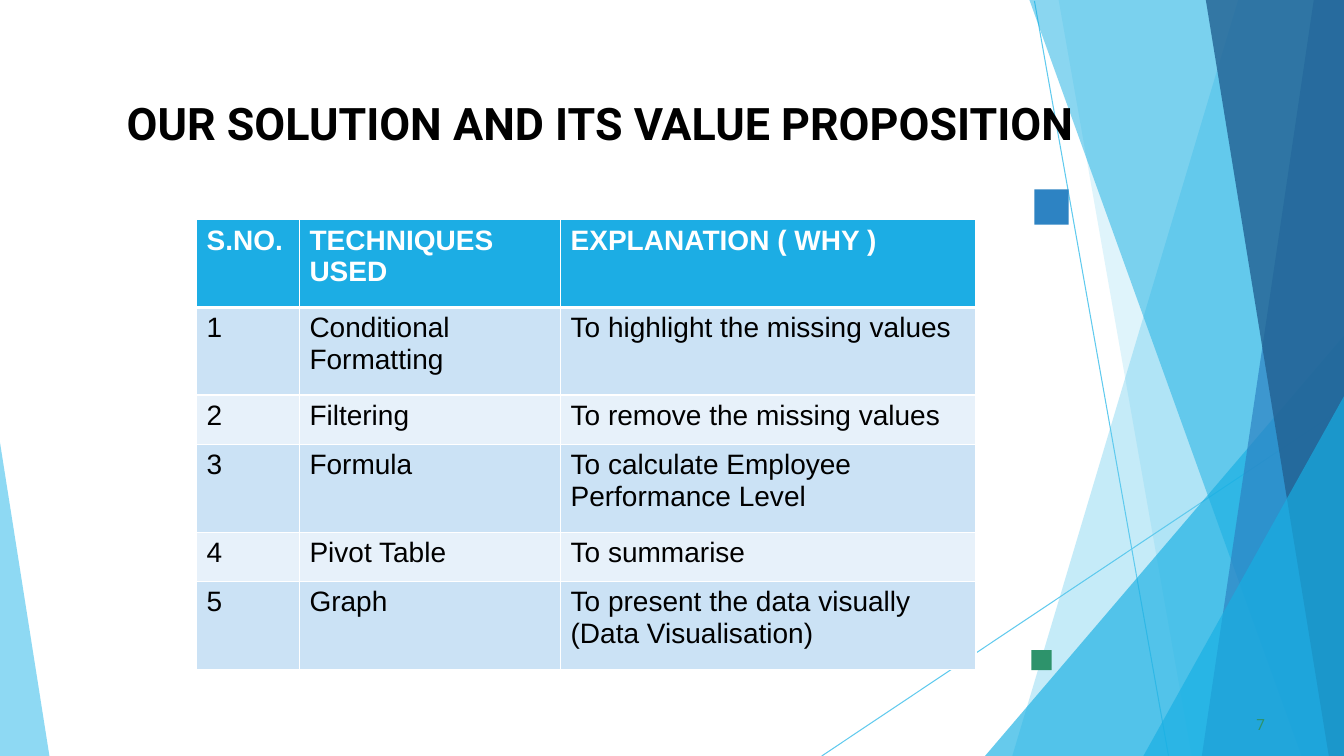
from lxml import etree
from pptx import Presentation
from pptx.dml.color import RGBColor
from pptx.enum.shapes import MSO_CONNECTOR, MSO_SHAPE
from pptx.enum.text import MSO_ANCHOR, MSO_AUTO_SIZE, PP_ALIGN
from pptx.oxml.ns import qn
from pptx.util import Emu, Pt

STRAIGHT = MSO_CONNECTOR.STRAIGHT
RECTANGLE = MSO_SHAPE.RECTANGLE
TOP = MSO_ANCHOR.TOP
NO_AUTOFIT = MSO_AUTO_SIZE.NONE
LEFT, CENTER = PP_ALIGN.LEFT, PP_ALIGN.CENTER

PX = 9144  # EMU per px, 100 px to the inch
WIDTH, HEIGHT = 1333, 750
TITLE_ONLY = 5

BLACK = RGBColor(0x00, 0x00, 0x00)
WHITE = RGBColor(0xFF, 0xFF, 0xFF)
SKY = RGBColor(0x5F, 0xCA, 0xEE)
CYAN = RGBColor(0x17, 0xAF, 0xE3)
BLUE = RGBColor(0x2D, 0x83, 0xC3)
NAVY = RGBColor(0x22, 0x61, 0x92)
GREEN = RGBColor(0x2D, 0x93, 0x6B)
HEADER = RGBColor(0x1C, 0xAD, 0xE4)
BAND_DARK = RGBColor(0xCB, 0xE2, 0xF5)
BAND_LIGHT = RGBColor(0xE7, 0xF1, 0xFA)


class SlideBuilder:
    heading_font = "Roboto"
    table_font = "Arial"

    def __init__(self, presentation):
        self.slide = presentation.slides.add_slide(presentation.slide_layouts[TITLE_ONLY])
        self.shapes = self.slide.shapes

    def box(self, *lengths):
        return [Emu(length * PX) for length in lengths]

    def style_font(self, paragraph, name, size, color, bold=False):
        font = paragraph.font
        font.name, font.size, font.bold = name, Pt(size), bold
        font.color.rgb = color

    def paint(self, shape, color, opacity=100):
        shape.shadow.inherit = False
        shape.fill.solid()
        shape.fill.fore_color.rgb = color
        shape.line.fill.background()
        if opacity < 100:
            fill_color = shape._element.spPr.find(qn("a:solidFill"))[0]
            etree.SubElement(fill_color, qn("a:alpha"), val=str(opacity * 1000))

    def line(self, start, end, color):
        connector = self.shapes.add_connector(STRAIGHT, *self.box(*start, *end))
        connector.line.color.rgb = color
        connector.line.width = Pt(0.75)
        etree.SubElement(connector._element.spPr, qn("a:effectLst"))

    def polygon(self, points, color, opacity):
        builder = self.shapes.build_freeform(*points[0], scale=PX)
        builder.add_line_segments(points[1:], close=True)
        self.paint(builder.convert_to_shape(), color, opacity)

    def rectangle(self, left, top, width, height, color):
        shape = self.shapes.add_shape(RECTANGLE, *self.box(left, top, width, height))
        self.paint(shape, color)

    def fill_text(self, shape, text, size, color, alignment, inset_left=0, bold=False):
        frame = shape.text_frame
        frame.text = text
        frame.word_wrap = True
        frame.auto_size = NO_AUTOFIT
        frame.vertical_anchor = TOP
        frame.margin_left, frame.margin_top = self.box(inset_left, 1)
        frame.margin_right = frame.margin_bottom = 0
        paragraph = frame.paragraphs[0]
        paragraph.alignment = alignment
        self.style_font(paragraph, self.heading_font, size, color, bold)

    def title(self, left, top, width, height, text):
        title = self.shapes.title
        title.left, title.top, title.width, title.height = self.box(left, top, width, height)
        self.fill_text(title, text, 32, BLACK, CENTER, inset_left=1, bold=True)
        title.text_frame.paragraphs[0].line_spacing = 1.0
        self.shapes._spTree.append(title._element)  # bring above the facets

    def page_number(self, left, top, width, height, text):
        text_box = self.shapes.add_textbox(*self.box(left, top, width, height))
        self.fill_text(text_box, text, 11, GREEN, LEFT, inset_left=4)

    def cell_borders(self, cell, widths):
        properties = cell._tc.get_or_add_tcPr()
        for side, points in widths.items():
            border = etree.SubElement(properties, qn(f"a:{side}"), w=str(Pt(points)))
            fill = etree.SubElement(border, qn("a:solidFill"))
            etree.SubElement(fill, qn("a:srgbClr"), val=str(WHITE))

    def table(self, left, top, column_widths, row_heights, rows):
        frame = self.shapes.add_table(
            len(rows), len(column_widths),
            *self.box(left, top, sum(column_widths), sum(row_heights)))
        table = frame.table
        for column, width in zip(table.columns, column_widths):
            column.width = Emu(width * PX)
        for index, (row, height, texts) in enumerate(zip(table.rows, row_heights, rows)):
            row.height = Emu(height * PX)
            is_header = index == 0
            band = BAND_DARK if index % 2 else BAND_LIGHT
            borders = {"lnL": 1, "lnR": 1,
                       "lnT": 3 if index == 1 else 1,
                       "lnB": 3 if is_header else 1}
            for cell, text in zip(row.cells, texts):
                cell.text = text
                self.cell_borders(cell, borders)
                cell.fill.solid()
                cell.fill.fore_color.rgb = HEADER if is_header else band
                self.style_font(cell.text_frame.paragraphs[0], self.table_font, 20,
                                WHITE if is_header else BLACK, is_header)


def main():
    presentation = Presentation()
    presentation.slide_width = Emu(WIDTH * PX)
    presentation.slide_height = Emu(HEIGHT * PX)
    builder = SlideBuilder(presentation)

    # Thin crossing lines
    builder.line((1026, 1), (1159, HEIGHT), SKY)
    builder.line((WIDTH, 404), (815, HEIGHT), SKY)

    # Facets on the right edge: top x, top y, bottom x, colour, opacity
    facets = [
        (1228, 0, 1004, SKY, 36),
        (1050, 0, 1182, SKY, 20),
        (WIDTH, 333, 977, CYAN, 66),
        (1021, 0, 1291, CYAN, 50),
        (1303, 0, 1192, BLUE, 70),
        (1196, 0, 1318, NAVY, 80),
        (WIDTH, 393, 1134, CYAN, 66),
    ]
    for top_x, top_y, bottom_x, color, opacity in facets:
        points = [(top_x, top_y), (bottom_x, HEIGHT), (WIDTH, HEIGHT)]
        if top_x < WIDTH:
            points.append((WIDTH, top_y))
        builder.polygon(points, color, opacity)

    # Left wedge and small squares
    builder.polygon([(0, 439), (0, HEIGHT), (49, HEIGHT)], SKY, 70)
    builder.rectangle(1026, 188, 34, 35, BLUE)
    builder.rectangle(1023, 645, 20, 20, GREEN)

    # Title, page number and table
    builder.title(61, 94, 1068, 55, "OUR SOLUTION AND ITS VALUE PROPOSITION")
    builder.page_number(1242, 708, 17, 21, "7")
    techniques = [
        ("Conditional Formatting", "To highlight the missing values"),
        ("Filtering", "To remove the missing values"),
        ("Formula", "To calculate Employee Performance Level"),
        ("Pivot Table", "To summarise"),
        ("Graph", "To present the data visually (Data Visualisation)"),
    ]
    rows = [("S.NO.", "TECHNIQUES USED", "EXPLANATION ( WHY )")]
    rows += [(str(number), *texts) for number, texts in enumerate(techniques, 1)]
    builder.table(195, 218, [102, 259, 412], [87, 87, 49, 87, 49, 87], rows)

    presentation.save("out.pptx")


if __name__ == "__main__":
    main()
